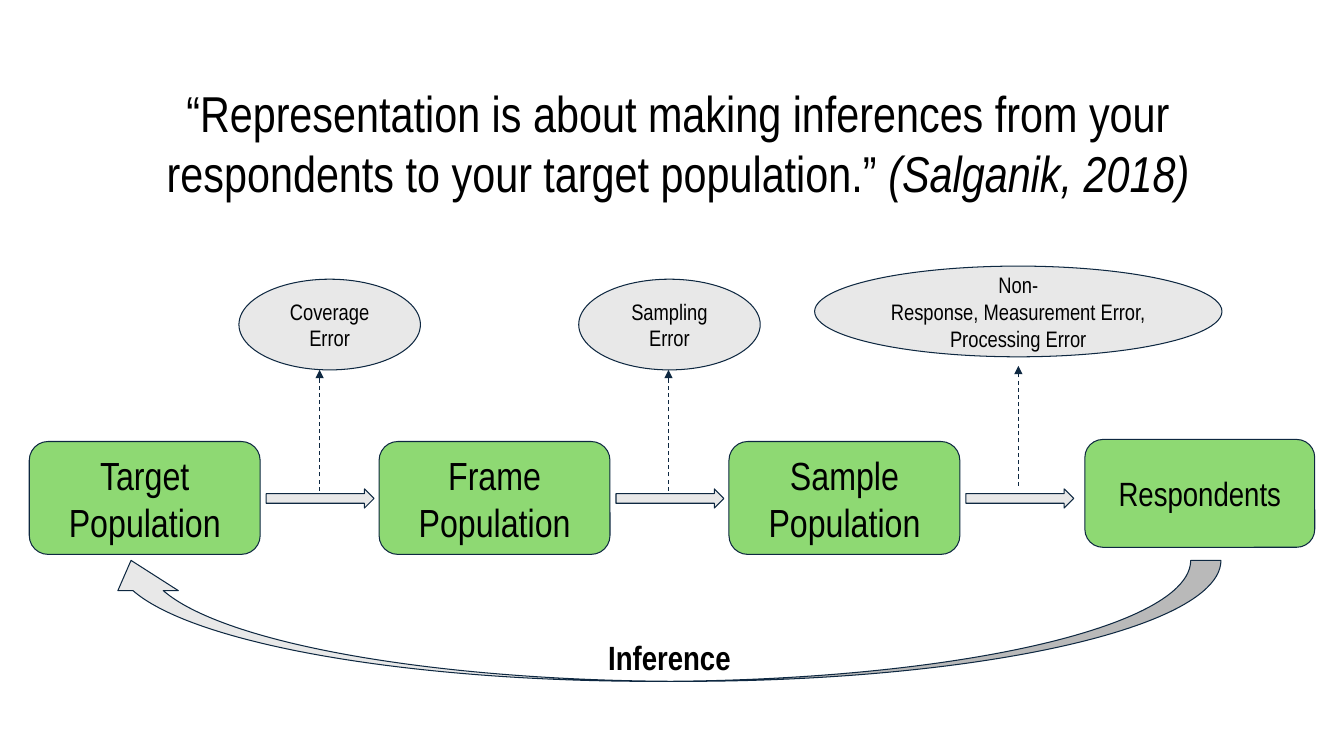
from dataclasses import dataclass
from lxml.etree import SubElement
from pptx import Presentation
from pptx.dml.color import RGBColor
from pptx.enum.dml import MSO_LINE
from pptx.enum.shapes import MSO_CONNECTOR, MSO_SHAPE
from pptx.enum.text import MSO_ANCHOR, MSO_AUTO_SIZE, PP_ALIGN
from pptx.oxml.ns import qn
from pptx.util import Inches, Pt


@dataclass(frozen=True)
class Theme:
    font: str = "Arial Narrow"
    ink: RGBColor = RGBColor(0x00, 0x00, 0x00)
    outline: RGBColor = RGBColor(0x0E, 0x28, 0x41)
    stage: RGBColor = RGBColor(0x8E, 0xD9, 0x73)
    grey: RGBColor = RGBColor(0xE8, 0xE8, 0xE8)
    line: Pt = Pt(0.75)
    quote_size: Pt = Pt(36)
    stage_size: Pt = Pt(28)
    label_size: Pt = Pt(24)
    error_size: Pt = Pt(16)


THEME = Theme()


def write(frame, paragraphs, size, inset=0.1, **font_format):
    """Fill a text frame; each paragraph is a list of (text, italic) runs."""
    margin = Inches(inset)
    frame_format = {"word_wrap": True, "margin_left": margin, "margin_right": margin,
                    "margin_top": margin, "margin_bottom": margin}
    for name, value in frame_format.items():
        setattr(frame, name, value)
    for index, runs in enumerate(paragraphs):
        paragraph = frame.add_paragraph() if index else frame.paragraphs[0]
        paragraph.alignment = PP_ALIGN.CENTER
        for text, italic in runs:
            run = paragraph.add_run()
            run.text = text
            run_format = {"name": THEME.font, "size": size, "italic": italic, **font_format}
            for name, value in run_format.items():
                setattr(run.font, name, value)
            run.font.color.rgb = THEME.ink


def add_figure(kind, box, fill, lines=(), size=None):
    """Draw an outlined preset shape with optional centred text."""
    figure = slide.shapes.add_shape(kind, *map(Inches, box))
    figure.shadow.inherit = False
    figure.fill.solid()
    figure.fill.fore_color.rgb = fill
    figure.line.color.rgb = THEME.outline
    figure.line.width = THEME.line
    if lines:
        figure.text_frame.vertical_anchor = MSO_ANCHOR.MIDDLE
        write(figure.text_frame, [[(line, False)] for line in lines], size)
    return figure


presentation = Presentation()
presentation.slide_width = Inches(13.33)
presentation.slide_height = Inches(7.5)
slide = presentation.slides.add_slide(presentation.slide_layouts[1])

# Quotation in the body placeholder
heading, quotation = slide.placeholders
heading.element.getparent().remove(heading.element)
quotation_box = {"left": 0.45, "top": 0.68, "width": 12.42, "height": 5.56}
for name, value in quotation_box.items():
    setattr(quotation, name, Inches(value))
quotation.text_frame.auto_size = MSO_AUTO_SIZE.NONE
quotation.text_frame.vertical_anchor = MSO_ANCHOR.TOP
write(quotation.text_frame, [[
    ("“Representation is about making inferences from your respondents "
     "to your target population.” ", False),
    ("(Salganik, 2018)", True),
]], THEME.quote_size, inset=0.13)
quotation_paragraph = quotation.text_frame.paragraphs[0]
quotation_paragraph.space_before = Pt(10)
quotation_properties = quotation_paragraph._p.get_or_add_pPr()
quotation_properties.set("marL", str(Inches(0.13)))
quotation_properties.set("indent", "0")
SubElement(quotation_properties, qn("a:buNone"))

# Populations, each followed by a step arrow
STEP = 3.47
for index, population in enumerate(("Target", "Frame", "Sample")):
    add_figure(MSO_SHAPE.ROUNDED_RECTANGLE, (0.29 + index * STEP, 4.38, 2.29, 1.12),
               THEME.stage, [f"{population} Population"], THEME.stage_size)
    add_figure(MSO_SHAPE.RIGHT_ARROW, (2.64 + index * STEP, 4.85, 1.07, 0.19), THEME.grey)
add_figure(MSO_SHAPE.ROUNDED_RECTANGLE, (10.76, 4.36, 2.28, 1.07),
           THEME.stage, ["Respondents"], THEME.label_size)

# Errors, each with a dashed arrow: lines, ellipse, arrow x, start y, end y
errors = (
    (["Coverage Error"], (2.37, 2.77, 1.8, 0.9), 3.17, 4.87, 3.67),
    (["Sampling Error"], (5.74, 2.77, 1.8, 0.9), 6.63, 4.87, 3.67),
    (["Non-", "Response, Measurement Error, Processing Error"],
     (8.08, 2.64, 4.04, 0.9), 10.1, 4.82, 3.63),
)
for error, ellipse, x, start, end in errors:
    add_figure(MSO_SHAPE.OVAL, ellipse, THEME.grey, error, THEME.error_size)
    pointer = slide.shapes.add_connector(
        MSO_CONNECTOR.STRAIGHT, Inches(x), Inches(start), Inches(x), Inches(end))
    pointer.line.color.rgb = THEME.outline
    pointer.line.width = THEME.line
    pointer.line.dash_style = MSO_LINE.DASH
    SubElement(pointer.line._get_or_add_ln(), qn("a:tailEnd"), type="triangle")
    SubElement(pointer.element.spPr, qn("a:effectLst"))

# Inference back to the target population
inference_arrow = add_figure(MSO_SHAPE.CURVED_UP_ARROW, (1, 5.56, 11.11, 1.2), THEME.grey)
inference_arrow.element.spPr.find(qn("a:xfrm")).set("flipH", "1")
for index, adjustment in enumerate((0.25, 0.5, 0.25)):
    inference_arrow.adjustments[index] = adjustment
inference = slide.shapes.add_textbox(*map(Inches, (5.85, 6.22, 1.58, 0.61)))
write(inference.text_frame, [[("Inference", False)]], THEME.label_size, bold=True)
inference.text_frame.auto_size = MSO_AUTO_SIZE.SHAPE_TO_FIT_TEXT

presentation.save("out.pptx")
